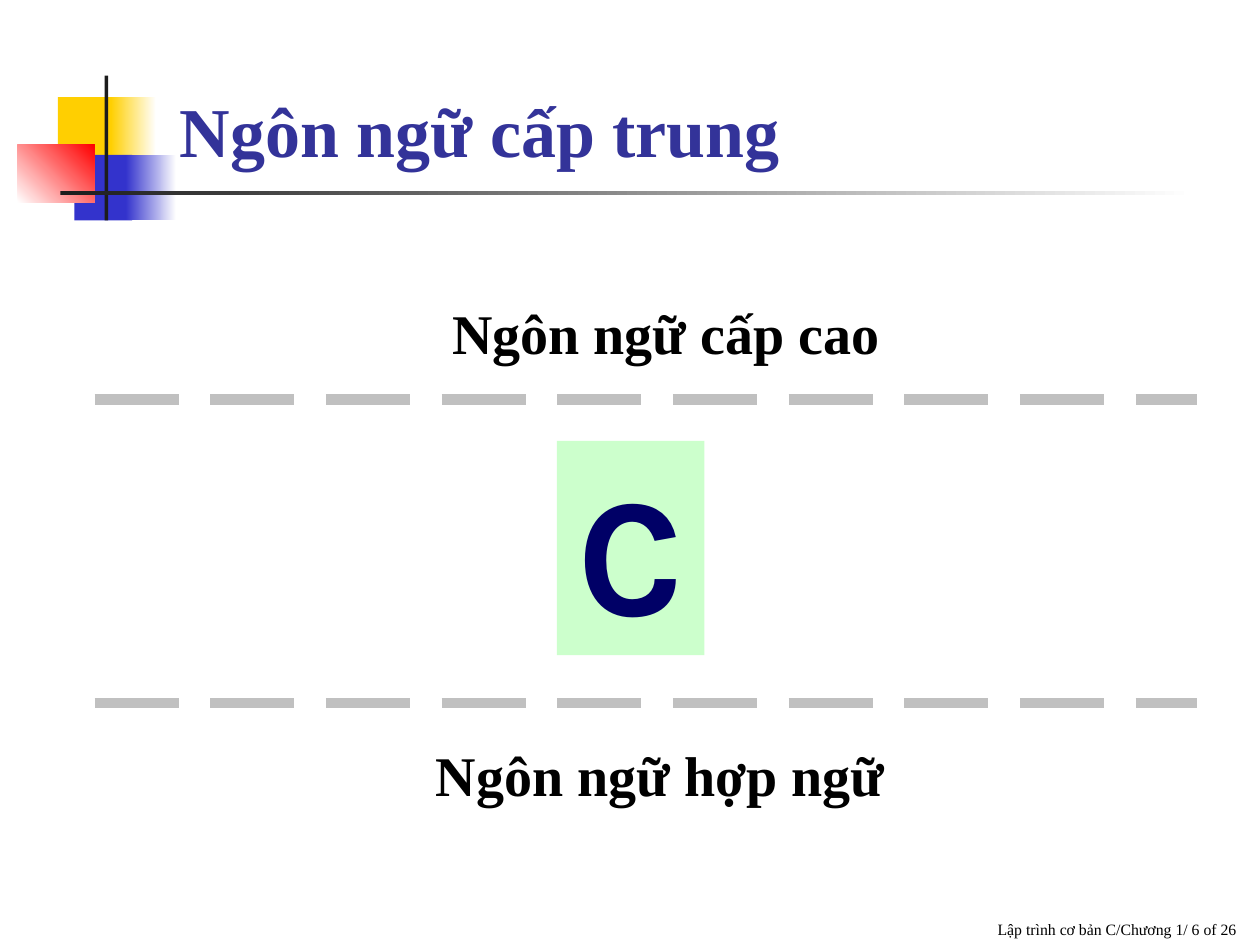
from pptx import Presentation
from pptx.dml.color import RGBColor
from pptx.enum.dml import MSO_LINE
from pptx.enum.shapes import MSO_CONNECTOR, MSO_SHAPE
from pptx.enum.text import MSO_ANCHOR, MSO_AUTO_SIZE, PP_ALIGN
from pptx.oxml.ns import qn
from pptx.util import Inches, Pt
from lxml import etree

SERIF = "Times New Roman"
WHITE, YELLOW, BLUE, RED, DARK = "FFFFFF", "FFCF01", "3333CC", "FF0000", "1C1C1C"


def color(value):
    return RGBColor.from_string(value)


def add_block(page, box, fill, fade_to=None, angle=0):
    """Borderless rectangle, solid or fading from one colour to another."""
    block = page.shapes.add_shape(MSO_SHAPE.RECTANGLE, *map(Inches, box))
    block.shadow.inherit = False
    block.line.fill.background()
    if fade_to:
        block.fill.gradient()
        block.fill.gradient_angle = angle
        for stop, shade in zip(block.fill.gradient_stops, (fill, fade_to)):
            stop.color.rgb = color(shade)
    else:
        block.fill.solid()
        block.fill.fore_color.rgb = color(fill)
    return block


def write(shape, text, size, shade, align, font=SERIF, bold=True):
    para = shape.text_frame.paragraphs[0]
    para.alignment = align
    span = para.add_run()
    span.text = text
    span.font.name = font
    span.font.size = Pt(size)
    span.font.bold = bold
    span.font.color.rgb = color(shade)


def add_label(page, box, text, size, shade, align, anchor=MSO_ANCHOR.BOTTOM,
              wrap=True, bold=True):
    label = page.shapes.add_textbox(*map(Inches, box))
    frame = label.text_frame
    frame.word_wrap = wrap
    frame.vertical_anchor = anchor
    if not wrap:
        frame.auto_size = MSO_AUTO_SIZE.SHAPE_TO_FIT_TEXT
    write(label, text, size, shade, align, bold=bold)


def add_ornament(page, left, top):
    """Overlapping colour blocks with a vertical bar and a fading rule."""
    blocks = [
        ((0.32, 0.17, 0.48, 0.52), YELLOW),
        ((0.74, 0.17, 0.36, 0.52), YELLOW, WHITE),
        ((0.45, 0.63, 0.46, 0.52), BLUE),
        ((0.86, 0.63, 0.4, 0.52), BLUE, WHITE),
        ((0, 0.55, 0.61, 0.46), WHITE, RED, 45),
        ((0.69, 0, 0.03, 1.15), DARK),
        ((0.34, 0.92, 9, 0.03), DARK, WHITE),
    ]
    for (x, y, width, height), *paint in blocks:
        add_block(page, (left + x, top + y, width, height), *paint)


def add_divider(page, left, right, y):
    divider = page.shapes.add_connector(
        MSO_CONNECTOR.STRAIGHT, Inches(left), Inches(y), Inches(right), Inches(y))
    divider.line.color.rgb = color("C0C0C0")
    divider.line.width = Pt(6)
    divider.line.dash_style = MSO_LINE.LONG_DASH
    etree.SubElement(divider._element.spPr, qn("a:effectLst"))


def add_levels(page, left, top, width):
    """High-level and assembly languages, with C between two dividers."""
    levels = [((3.46, top, 3.65, 0.64), "Ngôn ngữ cấp cao"),
              ((3.34, top + 3.51, 3.8, 0.64), "Ngôn ngữ hợp ngữ")]
    for box, text in levels:
        add_label(page, box, text, 32, "000000", PP_ALIGN.CENTER,
                  anchor=MSO_ANCHOR.TOP, wrap=False)

    # Middle level
    middle = add_block(page, (4.42, top + 1.18, 1.17, 1.7), "CCFFCC")
    middle.text_frame.word_wrap = True
    middle.text_frame.vertical_anchor = MSO_ANCHOR.TOP
    middle.text_frame.auto_size = MSO_AUTO_SIZE.SHAPE_TO_FIT_TEXT
    write(middle, "C", 96, "000066", PP_ALIGN.CENTER, font="Karla")

    for offset in (3.26, 0.85):
        add_divider(page, left, left + width, top + offset)


def main():
    deck = Presentation()
    deck.slide_width, deck.slide_height = Inches(10), Inches(7.5)
    page = deck.slides.add_slide(deck.slide_layouts[6])

    add_ornament(page, 0.14, 0.6)
    # Footer and title
    add_label(page, (3.83, 7, 6.08, 0.5), "Lập trình cơ bản C/Chương 1/ 6 of 26",
              9, "000000", PP_ALIGN.RIGHT, bold=False)
    add_label(page, (1.33, 0.58, 8.42, 0.83), "Ngôn ngữ cấp trung",
              40, "333399", PP_ALIGN.LEFT)
    add_levels(page, 0.75, 2.32, 8.75)

    deck.save("out.pptx")


if __name__ == "__main__":
    main()
